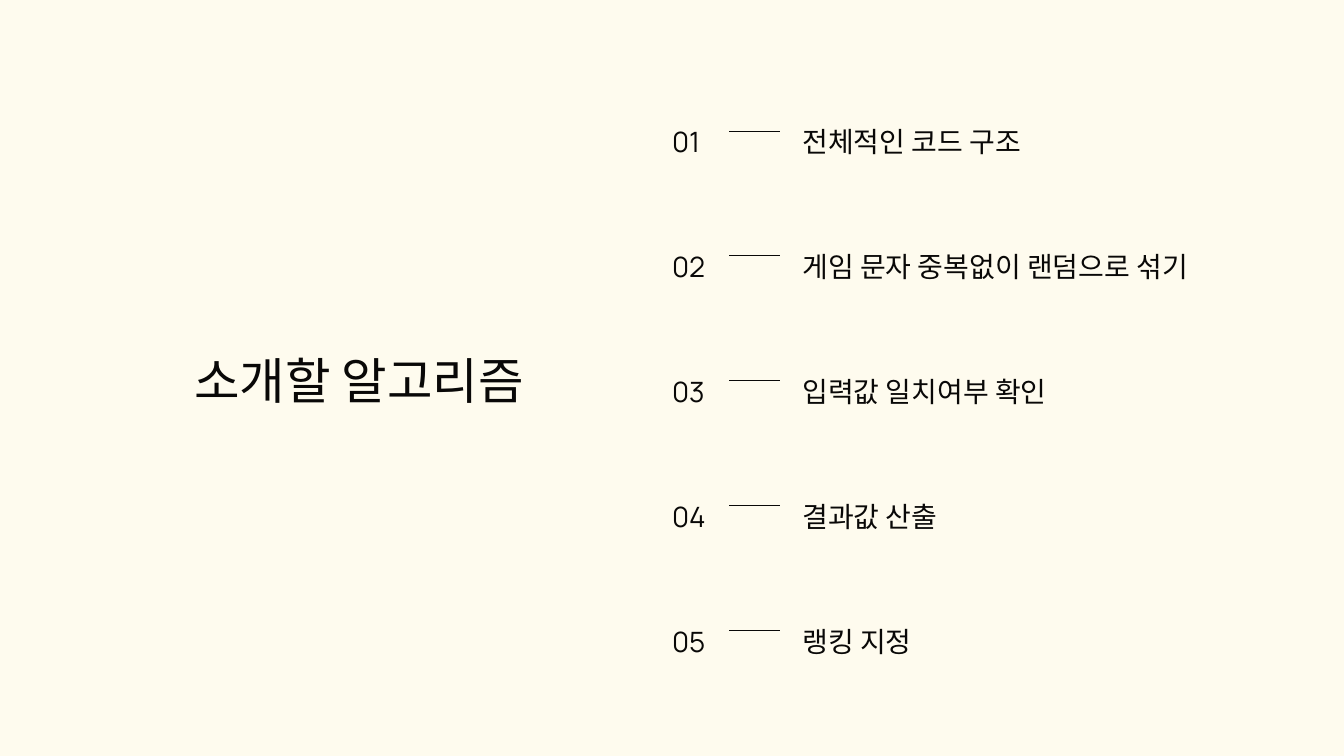
from lxml import etree
from pptx import Presentation
from pptx.dml.color import RGBColor
from pptx.enum.shapes import MSO_CONNECTOR
from pptx.enum.text import PP_ALIGN
from pptx.oxml.ns import qn
from pptx.util import Pt

STRAIGHT = MSO_CONNECTOR.STRAIGHT
LEFT, CENTER = PP_ALIGN.LEFT, PP_ALIGN.CENTER
CREAM = RGBColor(0xFE, 0xFB, 0xEE)
INK = RGBColor(0x09, 0x08, 0x07)
LATIN_FONT, KOREAN_FONT = "Manrope", "Noto Sans CJK SC"

TITLE = "소개할 알고리즘"
TOPICS = [
    "전체적인 코드 구조",
    "게임 문자 중복없이 랜덤으로 섞기",
    "입력값 일치여부 확인",
    "결과값 산출",
    "랭킹 지정",
]
NUMBERS = [f"{number:02}" for number in range(1, len(TOPICS) + 1)]

LIST_TOP, LIST_HEIGHT = 103, 587.5
LINE_HEIGHT = 66.9
ROW_PITCH = 2 * LINE_HEIGHT
DASH_LEFT, DASH_RIGHT, DASH_TOP = 781.2, 835.2, 140.4


def add_text(slide, box, lines, font_name, size, line_height, gap=0, alignment=LEFT):
    frame = slide.shapes.add_textbox(*map(Pt, box)).text_frame
    frame.word_wrap = True
    frame.margin_left = frame.margin_right = 0
    frame.margin_top = frame.margin_bottom = 0
    for index, line in enumerate(lines):
        paragraph = frame.add_paragraph() if index else frame.paragraphs[0]
        paragraph.text = line
        paragraph.alignment = alignment
        paragraph.line_spacing = Pt(line_height)
        if index:
            paragraph.space_before = Pt(gap)
        paragraph.font.name = font_name
        paragraph.font.size = Pt(size)
        paragraph.font.color.rgb = INK


def add_dash(slide, top):
    dash = slide.shapes.add_connector(
        STRAIGHT, Pt(DASH_LEFT), Pt(top), Pt(DASH_RIGHT), Pt(top))
    dash.line.color.rgb = INK
    dash.line.width = Pt(1)
    etree.SubElement(dash._element.spPr, qn("a:effectLst"))


presentation = Presentation()
presentation.slide_width = Pt(1440)
presentation.slide_height = Pt(810)
slide = presentation.slides.add_slide(presentation.slide_layouts[6])
slide.background.fill.solid()
slide.background.fill.fore_color.rgb = CREAM

add_text(slide, (188, 364.3, 393.8, 74.9), [TITLE], LATIN_FONT, 53, 74.3,
         alignment=CENTER)
for row in range(len(TOPICS)):
    add_dash(slide, DASH_TOP + row * ROW_PITCH)
for left, width, lines, font_name in [
    (859.7, 499.7, TOPICS, KOREAN_FONT),
    (720, 157, NUMBERS, LATIN_FONT),
]:
    add_text(slide, (left, LIST_TOP, width, LIST_HEIGHT), lines, font_name, 30,
             LINE_HEIGHT, gap=LINE_HEIGHT)

presentation.save("out.pptx")
